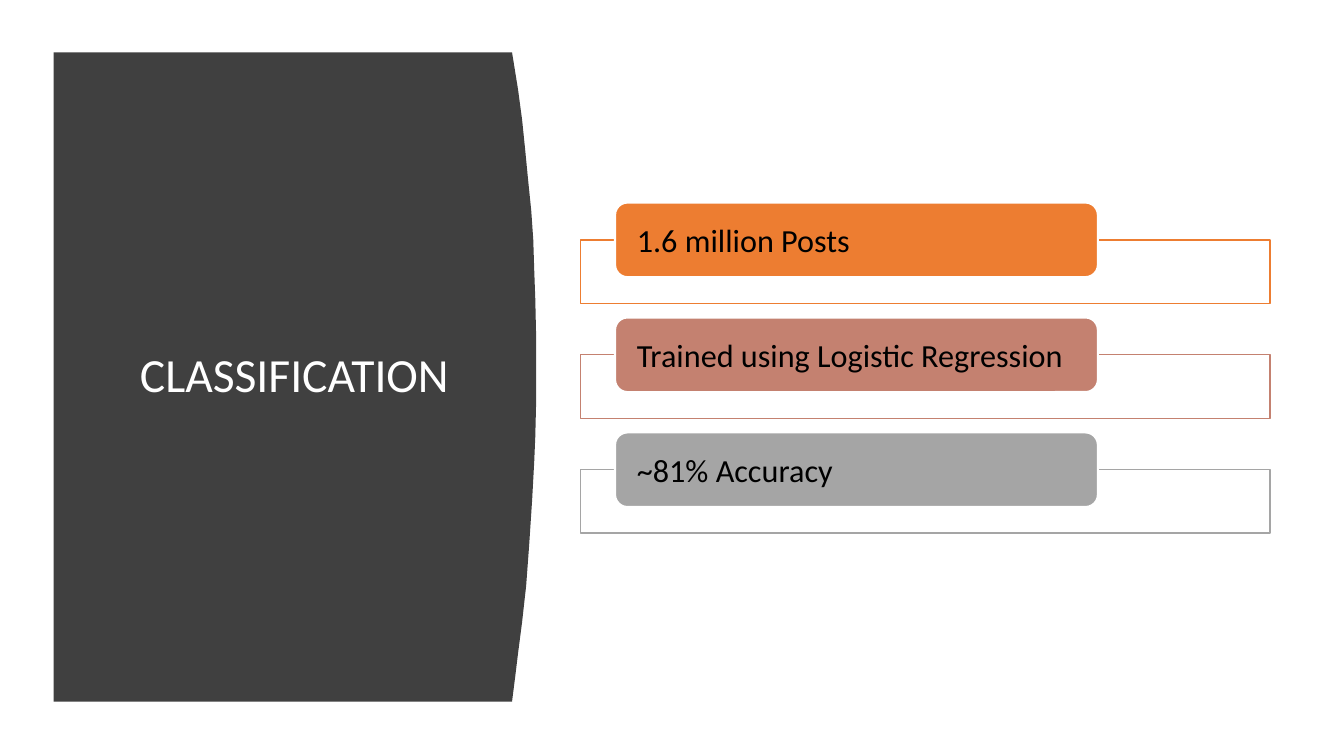
from lxml import etree
from pptx import Presentation, util as u
from pptx.dml.color import RGBColor
from pptx.enum import shapes, text
from pptx.oxml.ns import qn

WHITE = RGBColor(0xFF, 0xFF, 0xFF)
BLACK = RGBColor(0, 0, 0)
CHARCOAL = RGBColor(0x40, 0x40, 0x40)
ORANGE = RGBColor(0xED, 0x7D, 0x31)
ROSE = RGBColor(0xC4, 0x81, 0x70)
GRAY = RGBColor(0xA5, 0xA5, 0xA5)

presentation = Presentation()
presentation.slide_width = u.Inches(13.33)
presentation.slide_height = u.Inches(7.5)
COLUMN = presentation.slide_width / 100
ROW = presentation.slide_height / 100
slide = presentation.slides.add_slide(presentation.slide_layouts[5])


def grid(*lengths):
    return [round(length * (ROW if index % 2 else COLUMN)) for index, length in enumerate(lengths)]


def write(shape, words, size, color, alignment, spacing):
    frame = shape.text_frame
    frame.text = words
    frame.word_wrap = True
    frame.auto_size = text.MSO_AUTO_SIZE.NONE
    frame.vertical_anchor = text.MSO_ANCHOR.MIDDLE
    paragraph = frame.paragraphs[0]
    paragraph.alignment = alignment
    paragraph.line_spacing = spacing
    font = paragraph.runs[0].font
    font.name = "Calibri"
    font.size = u.Pt(size)
    font.color.rgb = color


title = slide.shapes.title
title.left, title.top, title.width, title.height = grid(4.43, 14.93, 34.95, 69.87)
write(title, "CLASSIFICATION", 34, WHITE, text.PP_ALIGN.CENTER, 0.9)

panel_left, panel_top, panel_bottom = 4, 6.93, 92.8
curve = [
    (38.1, panel_top), (38.55, 11.87), (38.85, 15.87), (39.08, 19.87), (39.3, 23.87),
    (39.53, 27.87), (39.68, 31.73), (39.75, 35.73), (39.83, 39.6), (39.9, 45.2),
    (39.9, 52.53), (39.83, 57.73), (39.75, 61.07), (39.6, 66), (39.38, 72),
    (39.15, 77.47), (38.85, 82.27), (38.55, 86.4), (38.33, 89.6), (38.1, panel_bottom),
]
outline = [grid(*point) for point in curve + [(panel_left, panel_bottom)]]
builder = slide.shapes.build_freeform(*grid(panel_left, panel_top))
builder.add_line_segments(outline, close=True)
panel = builder.convert_to_shape()
panel.shadow.inherit = False
panel.fill.solid()
panel.fill.fore_color.rgb = CHARCOAL
panel.line.fill.background()
title.element.addprevious(panel.element)

facts = [
    ("1.6 million Posts", ORANGE),
    ("Trained using Logistic Regression", ROSE),
    ("~81% Accuracy", GRAY),
]
facts_top, pitch = 26.8, 15.2
for index, (words, color) in enumerate(facts):
    top = facts_top + index * pitch
    frame_box = slide.shapes.add_shape(
        shapes.MSO_SHAPE.RECTANGLE, *grid(43.2, top + 4.93, 51.3, 8.4))
    label = slide.shapes.add_shape(
        shapes.MSO_SHAPE.ROUNDED_RECTANGLE, *grid(45.76, top, 35.93, 9.87))
    for shape, fill, line, weight in ((frame_box, WHITE, color, 1), (label, color, WHITE, 1.5)):
        shape.shadow.inherit = False
        shape.fill.solid()
        shape.fill.fore_color.rgb = fill
        shape.line.color.rgb = line
        shape.line.width = u.Pt(weight)
    fill_color = frame_box.element.spPr.find(qn("a:solidFill")).find(qn("a:srgbClr"))
    etree.SubElement(fill_color, qn("a:alpha")).set("val", "90000")
    write(label, words, 23, BLACK, text.PP_ALIGN.LEFT, 1.0)
    label.text_frame.margin_left = label.text_frame.margin_right = u.Inches(0.18)
    label.text_frame.margin_top = label.text_frame.margin_bottom = 0

presentation.save("out.pptx")
